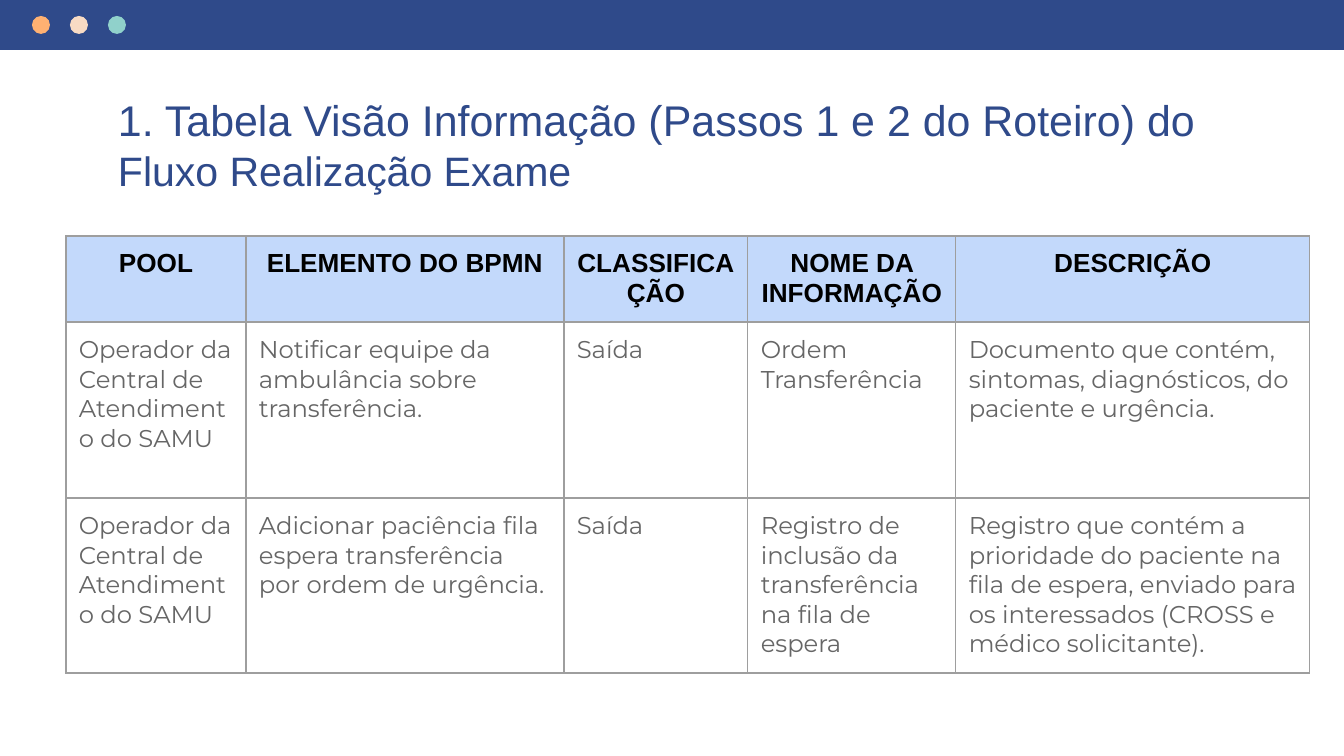
from pptx import Presentation
from pptx.dml.color import RGBColor
from pptx.enum.shapes import MSO_SHAPE as SHAPE
from pptx.enum.text import MSO_ANCHOR as ANCHOR, PP_ALIGN as ALIGN
from pptx.oxml import parse_xml
from pptx.oxml.ns import nsdecls
from pptx.util import Pt

SLIDE_W, SLIDE_H = 1344, 756
EMU_PER_PX = 9144000 / SLIDE_W
INSET = 13
NAVY = "2F4A8A"
DOTS = ["FFB172", "F8DBC4", "90D1CB"]
COLUMNS = [180, 318, 184, 208, 354]
ROWS = [86, 176, 175]
POOL = "Operador da Central de Atendimento do SAMU"
CELLS = [
    ["POOL", "ELEMENTO DO BPMN", "CLASSIFICAÇÃO", "NOME DA INFORMAÇÃO", "DESCRIÇÃO"],
    [POOL, "Notificar equipe da ambulância sobre transferência.", "Saída",
     "Ordem Transferência",
     "Documento que contém, sintomas, diagnósticos, do paciente e urgência."],
    [POOL, "Adicionar paciência fila espera transferência por ordem de urgência.", "Saída",
     "Registro de inclusão da transferência na fila de espera",
     "Registro que contém a prioridade do paciente na fila de espera, enviado para "
     "os interessados (CROSS e médico solicitante)."],
]
HEADER = dict(size=14, color="000000", bold=True, align=ALIGN.CENTER)
BODY = dict(size=13, color="666666", font="Montserrat")


def px(n):
    return round(n * EMU_PER_PX)


def rgb(value):
    return RGBColor.from_string(value)


def add_text(p, text, size, color, font="Arial", bold=False, align=ALIGN.LEFT):
    p.alignment = align
    r = p.add_run()
    r.text = text
    r.font.name = font
    r.font.size = Pt(size)
    r.font.bold = bold
    r.font.color.rgb = rgb(color)


def set_margins(target):
    target.margin_left = target.margin_right = px(INSET)
    target.margin_top = target.margin_bottom = px(INSET)


def add_filled(slide, kind, x, y, w, h, color):
    sp = slide.shapes.add_shape(kind, px(x), px(y), px(w), px(h))
    sp.shadow.inherit = False
    sp.fill.solid()
    sp.fill.fore_color.rgb = rgb(color)
    sp.line.fill.background()


def add_title(slide):
    sp = slide.shapes.title
    sp.left, sp.top, sp.width, sp.height = px(105), px(81), px(1134), px(69)
    tf = sp.text_frame
    tf.word_wrap = True
    tf.vertical_anchor = ANCHOR.TOP
    set_margins(tf)
    p = tf.paragraphs[0]
    add_text(p, "1. Tabela Visão Informação (Passos 1 e 2 do Roteiro) do ", size=23, color=NAVY)
    add_text(p, "Fluxo Realização Exame", size=22, color=NAVY)


def set_borders(cell, color, width):
    for side in "LRTB":
        cell._tc.get_or_add_tcPr().append(parse_xml(
            f'<a:ln{side} {nsdecls("a")} w="{Pt(width)}"><a:solidFill>'
            f'<a:srgbClr val="{color}"/></a:solidFill></a:ln{side}>'))


def format_cell(cell, text, is_header):
    set_margins(cell)
    cell.vertical_anchor = ANCHOR.TOP
    set_borders(cell, "9E9E9E", 0.75)
    if is_header:
        cell.fill.solid()
        cell.fill.fore_color.rgb = rgb("C3D9FB")
    else:
        cell.fill.background()
    add_text(cell.text_frame.paragraphs[0], text, **(HEADER if is_header else BODY))


def add_information_table(slide, x, y):
    table = slide.shapes.add_table(
        len(ROWS), len(COLUMNS), px(x), px(y), px(sum(COLUMNS)), px(sum(ROWS))).table
    table.first_row = table.horz_banding = False
    for column, width in zip(table.columns, COLUMNS):
        column.width = px(width)
    for i, (row, height) in enumerate(zip(table.rows, ROWS)):
        row.height = px(height)
        for cell, text in zip(row.cells, CELLS[i]):
            format_cell(cell, text, is_header=i == 0)


def main():
    prs = Presentation()
    prs.slide_width, prs.slide_height = px(SLIDE_W), px(SLIDE_H)
    slide = prs.slides.add_slide(prs.slide_layouts[5])
    add_filled(slide, SHAPE.RECTANGLE, 0, 0, SLIDE_W, 50, NAVY)
    for i, color in enumerate(DOTS):
        add_filled(slide, SHAPE.OVAL, 32 + 38 * i, 16, 18, 18, color)
    add_title(slide)
    add_information_table(slide, 66, 236)
    prs.save("out.pptx")


if __name__ == "__main__":
    main()
